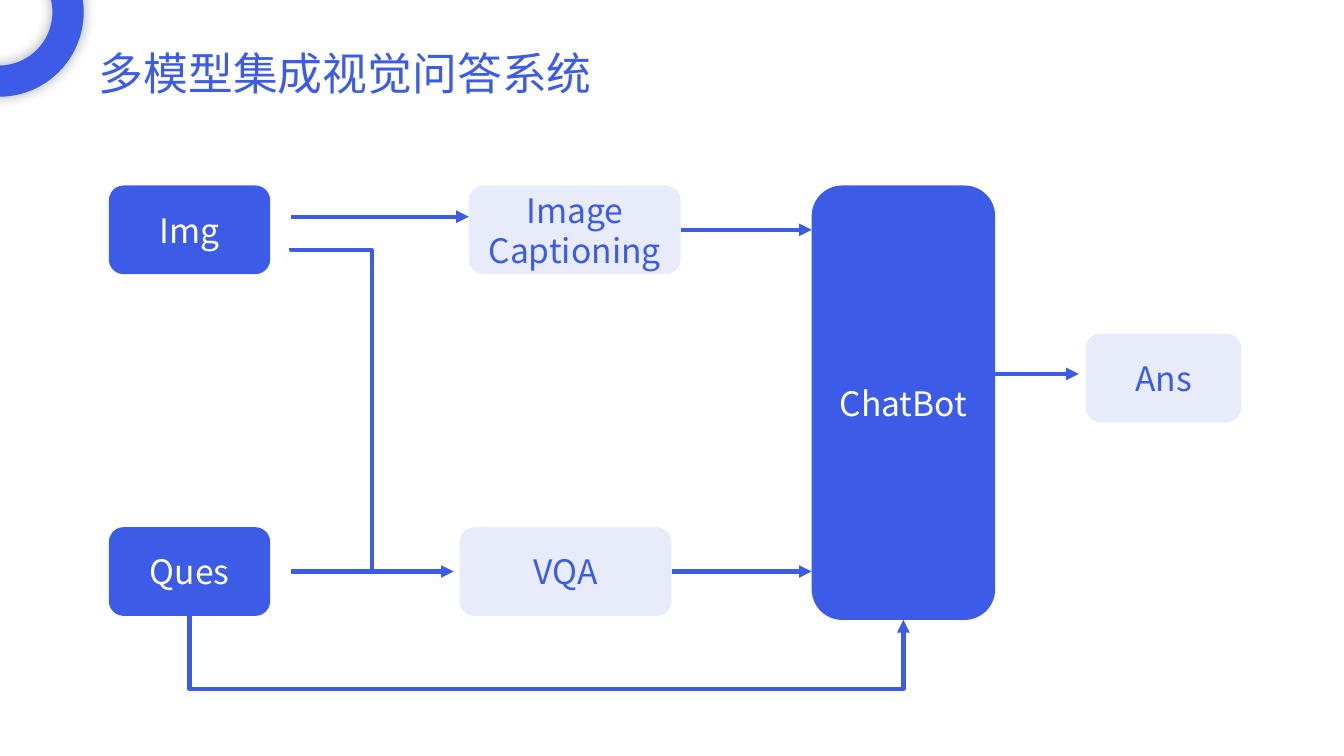
import lxml.etree
import pptx
import pptx.dml.color
import pptx.enum.shapes
import pptx.enum.text
import pptx.oxml
import pptx.oxml.ns
import pptx.util

Inches = pptx.util.Inches
BLUE = pptx.dml.color.RGBColor(0x3C, 0x5C, 0xE8)
PALE = pptx.dml.color.RGBColor(0xE8, 0xEB, 0xFA)
WHITE = pptx.dml.color.RGBColor(0xFF, 0xFF, 0xFF)
FONT = "Noto Sans CJK SC"
qn = pptx.oxml.ns.qn


def add_run(paragraph, text, size, color):
    run = paragraph.add_run()
    run.text = text
    run.font.size = pptx.util.Pt(size)
    run.font.name = FONT
    run.font.color.rgb = color
    east_asian = lxml.etree.SubElement(run.font._element, qn("a:ea"))
    east_asian.set("typeface", FONT)


def add_line(kind, start, end, arrow):
    connector = slide.shapes.add_connector(kind, *map(Inches, start + end))
    connector.line.color.rgb = BLUE
    connector.line.width = pptx.util.Pt(3)
    if arrow:
        tail = lxml.etree.SubElement(connector.line._get_or_add_ln(), qn("a:tailEnd"))
        tail.set("type", "triangle")
    lxml.etree.SubElement(connector._element.spPr, qn("a:effectLst"))
    return connector


presentation = pptx.Presentation()
presentation.slide_width = Inches(13.33)
presentation.slide_height = Inches(7.5)
slide = presentation.slides.add_slide(presentation.slide_layouts[6])

ring = slide.shapes.add_shape(
    pptx.enum.shapes.MSO_SHAPE.DONUT,
    Inches(-0.85), Inches(-0.72), Inches(1.68), Inches(1.68))
ring.adjustments[0] = 0.31 / 1.68
ring.fill.solid()
ring.fill.fore_color.rgb = BLUE
ring.line.fill.background()
ring._element.spPr.append(pptx.oxml.parse_xml(
    '<a:effectLst xmlns:a="http://schemas.openxmlformats.org/drawingml/2006/main">'
    '<a:outerShdw blurRad="127000" dist="0" dir="0" algn="ctr" rotWithShape="0">'
    '<a:srgbClr val="222A35"><a:alpha val="40000"/></a:srgbClr>'
    '</a:outerShdw></a:effectLst>'))

title = slide.shapes.add_textbox(Inches(0.88), Inches(0.4), Inches(5.22), Inches(0.64))
title.text_frame.word_wrap = True
add_run(title.text_frame.paragraphs[0], "多模型集成视觉问答系统", 32, BLUE)

TOP_ROW, BOTTOM_ROW, BOX_HEIGHT = 1.84, 5.23, 0.88
boxes = [
    (["Ques"], 1.08, BOTTOM_ROW, 1.6, BOX_HEIGHT, BLUE, WHITE),
    (["Img"], 1.08, TOP_ROW, 1.6, BOX_HEIGHT, BLUE, WHITE),
    (["Image", "Captioning"], 4.65, TOP_ROW, 2.1, BOX_HEIGHT, PALE, BLUE),
    (["VQA"], 4.56, BOTTOM_ROW, 2.1, BOX_HEIGHT, PALE, BLUE),
    (["ChatBot"], 8.05, TOP_ROW, 1.82, 4.31, BLUE, WHITE),
    (["Ans"], 10.77, 3.31, 1.54, BOX_HEIGHT, PALE, BLUE),
]
for lines, left, top, width, height, fill, color in boxes:
    box = slide.shapes.add_shape(
        pptx.enum.shapes.MSO_SHAPE.ROUNDED_RECTANGLE,
        Inches(left), Inches(top), Inches(width), Inches(height))
    box.shadow.inherit = False
    box.fill.solid()
    box.fill.fore_color.rgb = fill
    box.line.fill.background()
    frame = box.text_frame
    frame.word_wrap = True
    frame.vertical_anchor = pptx.enum.text.MSO_ANCHOR.MIDDLE
    for index, text in enumerate(lines):
        paragraph = frame.add_paragraph() if index else frame.paragraphs[0]
        paragraph.alignment = pptx.enum.text.PP_ALIGN.CENTER
        add_run(paragraph, text, 24, color)

arrows = [
    (2.89, 4.65, 2.15),
    (2.89, 4.5, 5.67),
    (6.75, 8.05, 2.28),
    (6.67, 8.05, 5.67),
    (9.86, 10.7, 3.71),
]
for start_x, end_x, y in arrows:
    add_line(pptx.enum.shapes.MSO_CONNECTOR.STRAIGHT, (start_x, y), (end_x, y), True)

elbows = [
    (2.89, 2.46, 3.69, 5.67, 2.48, False),
    (1.88, 6.11, 8.96, 6.15, 6.83, True),
]
for start_x, start_y, end_x, end_y, bend_y, arrow in elbows:
    center_x, center_y = (start_x + end_x) / 2, (start_y + end_y) / 2
    half_width, half_height = (end_y - start_y) / 2, (end_x - start_x) / 2
    elbow = add_line(
        pptx.enum.shapes.MSO_CONNECTOR.ELBOW,
        (center_x + half_width, center_y - half_height),
        (center_x - half_width, center_y + half_height), arrow)
    properties = elbow._element.spPr
    properties.find(qn("a:xfrm")).set("rot", str(270 * 60000))
    guide = lxml.etree.SubElement(properties.find(qn("a:prstGeom")).find(qn("a:avLst")), qn("a:gd"))
    guide.set("name", "adj1")
    bend = (bend_y - start_y) / (end_y - start_y)
    guide.set("fmla", f"val {round(bend * 100000)}")

presentation.save("out.pptx")
